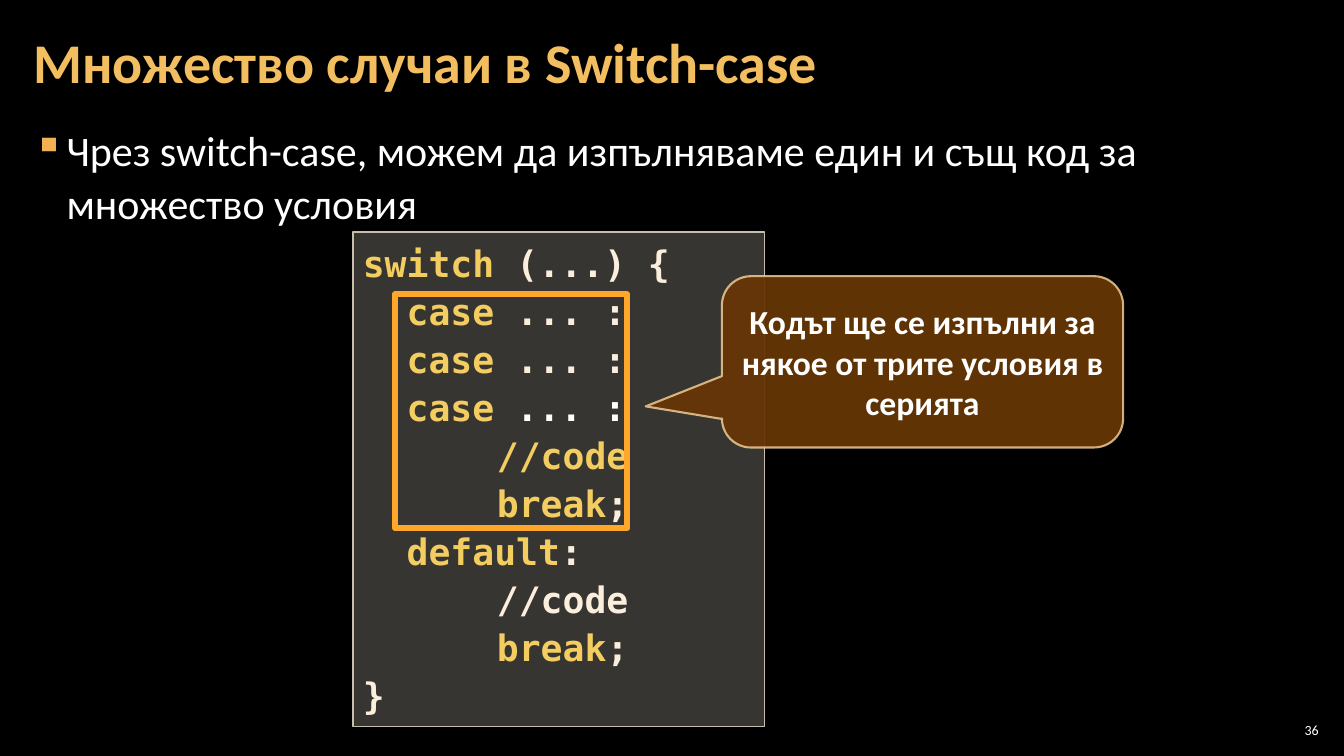
from lxml import etree
from pptx import Presentation
from pptx.dml.color import RGBColor
from pptx.enum.shapes import MSO_SHAPE
from pptx.enum.text import MSO_ANCHOR, PP_ALIGN
from pptx.oxml.ns import qn
from pptx.util import Pt

EMU_PER_PX = 9144
RECTANGLE = MSO_SHAPE.RECTANGLE
CALLOUT = MSO_SHAPE.ROUNDED_RECTANGULAR_CALLOUT
MIDDLE, TOP = MSO_ANCHOR.MIDDLE, MSO_ANCHOR.TOP
LEFT, CENTER, RIGHT = PP_ALIGN.LEFT, PP_ALIGN.CENTER, PP_ALIGN.RIGHT
SANS, MONO = "Calibri", "DejaVu Sans Mono"
COLORS = {
    "background": "000000", "title": "F3BE60", "white": "FFFFFF", "bullet": "F2B254",
    "keyword": "F3CD60", "plain": "FBEEDC", "code_fill": "D9D5C7", "code_line": "C7BFAC",
    "frame": "FFA72A", "callout_fill": "663606", "callout_line": "F8D49E",
}


def px(*lengths):
    return [length * EMU_PER_PX for length in lengths]


def add_run(paragraph, text, size, color, font=SANS, bold=False):
    run = paragraph.add_run()
    run.text = text
    run.font.name = font
    run.font.size = Pt(size)
    run.font.bold = bold
    run.font.color.rgb = RGBColor.from_string(COLORS[color])


presentation = Presentation()
presentation.slide_width, presentation.slide_height = px(1333, 750)
slide = presentation.slides.add_slide(presentation.slide_layouts[5])
slide.background.fill.solid()
slide.background.fill.fore_color.rgb = RGBColor.from_string(COLORS["background"])

title = slide.shapes.title
title.left, title.top, title.width, title.height = px(21, 4, 1047, 121)
body = slide.shapes.add_textbox(*px(21, 117, 1291, 609))
page_number = slide.shapes.add_textbox(*px(1265, 714, 47, 21))

for shape, side_inset, anchor, alignment in [
    (title, 12, MIDDLE, LEFT), (body, 12, TOP, LEFT), (page_number, 4, MIDDLE, RIGHT),
]:
    frame = shape.text_frame
    frame.word_wrap = True
    frame.vertical_anchor = anchor
    frame.margin_left, frame.margin_right = px(side_inset, side_inset)
    frame.margin_top, frame.margin_bottom = px(4, 4)
    frame.paragraphs[0].alignment = alignment

title_paragraph = title.text_frame.paragraphs[0]
title_paragraph.line_spacing = 0.9
add_run(title_paragraph, "Множество случаи в Switch-case", 40, "title", bold=True)
add_run(page_number.text_frame.paragraphs[0], "36", 10, "white")

body_paragraph = body.text_frame.paragraphs[0]
body_paragraph.line_spacing = 1.05
body_paragraph.space_before = body_paragraph.space_after = Pt(6)
add_run(body_paragraph,
        "Чрез switch-case, можем да изпълняваме един и същ код за множество условия",
        30, "white")
properties = body_paragraph._p.get_or_add_pPr()
indent = px(33)[0]
properties.set("marL", str(indent))
properties.set("indent", str(-indent))
bullet_color = etree.SubElement(properties, qn("a:buClr"))
etree.SubElement(bullet_color, qn("a:srgbClr"), val=COLORS["bullet"])
etree.SubElement(properties, qn("a:buChar"), char="▪")

boxes = []
for preset, bounds, fill, line, line_width, opacities in [
    (RECTANGLE, (350, 230, 408, 491), "code_fill", "code_line", 1, (25, 100)),
    (RECTANGLE, (392, 292, 230, 232), None, "frame", 4.5, (100,)),
    (CALLOUT, (716, 274, 398, 170), "callout_fill", "callout_line", 1.5, (95, 80)),
]:
    box = slide.shapes.add_shape(preset, *px(*bounds))
    box.shadow.inherit = False
    if fill:
        box.fill.solid()
        box.fill.fore_color.rgb = RGBColor.from_string(COLORS[fill])
    else:
        box.fill.background()
    box.line.color.rgb = RGBColor.from_string(COLORS[line])
    box.line.width = Pt(line_width)
    for color, opacity in zip(box.element.spPr.iter(qn("a:srgbClr")), opacities):
        etree.SubElement(color, qn("a:alpha"), val=str(opacity * 1000))
    box.text_frame.word_wrap = True
    boxes.append(box)
code_box, case_frame, callout = boxes

for index, adjustment in enumerate([-0.69, 0.26, 0.17]):
    callout.adjustments[index] = adjustment
callout.text_frame.vertical_anchor = MIDDLE
callout_paragraph = callout.text_frame.paragraphs[0]
callout_paragraph.alignment = CENTER
add_run(callout_paragraph, "Кодът ще се изпълни за някое от трите условия в серията",
        24, "white", bold=True)

case_line = [("  case ", "keyword"), ("... :", "plain")]
break_line = [("\tbreak", "keyword"), (";", "plain")]
code_lines = [
    [("switch", "keyword"), (" (...) {", "plain")],
    case_line,
    case_line,
    [("  casе ", "keyword"), ("... :", "white")],
    [("\t//code", "keyword")],
    break_line,
    [("  default", "keyword"), (":", "plain")],
    [("\t//code", "plain")],
    break_line,
    [("}", "plain")],
]
code_frame = code_box.text_frame
code_frame.vertical_anchor = TOP
for index, code_line in enumerate(code_lines):
    paragraph = code_frame.add_paragraph() if index else code_frame.paragraphs[0]
    paragraph.alignment = LEFT
    paragraph.line_spacing = 1.1
    tab_stops = etree.SubElement(paragraph._p.get_or_add_pPr(), qn("a:tabLst"))
    etree.SubElement(tab_stops, qn("a:tab"), pos=str(px(133)[0]), algn="l")
    for text, color in code_line:
        add_run(paragraph, text, 26, color, MONO, True)

presentation.save("out.pptx")
